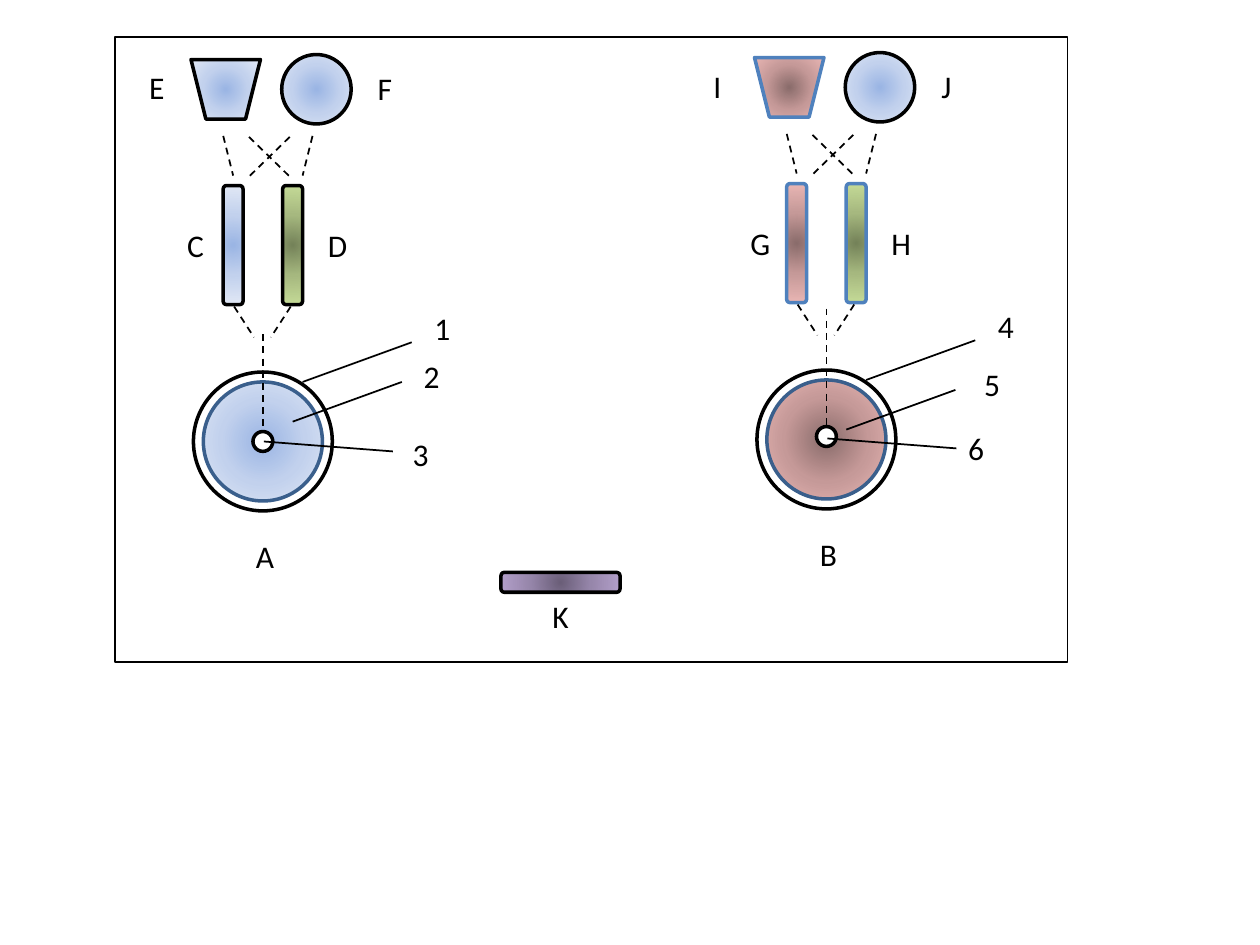
from collections import namedtuple

from lxml.etree import SubElement
from pptx import Presentation
from pptx.dml.color import RGBColor
from pptx.enum.dml import MSO_LINE
from pptx.enum.shapes import MSO_CONNECTOR, MSO_SHAPE
from pptx.enum.text import MSO_AUTO_SIZE, PP_ALIGN
from pptx.oxml import parse_xml
from pptx.oxml.ns import nsdecls, qn
from pptx.util import Inches, Mm, Pt

CELL_MM = 2
BLACK, WHITE, STEEL, NAVY = "000000", "FFFFFF", "4F81BD", "3A5F8C"
BLUE = ("9AB5E4", "C2D1ED", "E1E8F5")
RED = ("8A6C6B", "C59998", "E9B6B4")
GREEN = ("748259", "A6B87F", "C5DB97")
PURPLE = ("6A5E78", "9686AA", "B39FCA")

Origin = namedtuple("Origin", "col row")
Cell = namedtuple("Cell", "origin tint edge stem_top nucleus_row pointers labels")

LEFT = Cell(
    Origin(26.5, 44.5), BLUE, BLACK, -10.8, 0,
    [(3, -2, 14, -6), (4, -6, 15, -10), (0.1, 0, 13.1, 1)],
    {"1": (18.1, -11.4), "2": (17, -6.6), "3": (15.9, 1.3), "A": (0.2, 11.6),
     "C": (-6.8, -19.8), "D": (7.5, -19.8), "E": (-10.7, -35.7), "F": (12.3, -35.6)},
)
RIGHT = Cell(
    Origin(83.3, 44.3), RED, STEEL, -13.2, -0.3,
    [(2, -1, 13, -5), (4, -6, 15, -10), (0.1, -0.1, 13.1, 0.9)],
    {"4": (18.1, -11.4), "5": (16.7, -5.6), "6": (15.1, 0.9), "B": (0.2, 11.6),
     "G": (-6.7, -19.8), "H": (7.5, -19.8), "I": (-11, -35.6), "J": (12.1, -35.6)},
)
DASHES = [
    (-2.9, -13.6, -0.9, -10.5), (2.8, -13.6, 0.8, -10.5),
    (-4, -30.8, -3, -26.8), (5, -30.8, 4, -26.8),
    (-1.4, -30.7, 2.7, -26.7), (2.7, -30.7, -1.4, -26.7),
]


def cells(count):
    return Mm(count * CELL_MM)


def color(value):
    return RGBColor.from_string(value)


def fill_radial(part, tints):
    part.fill.background()
    stops = "".join(
        f'<a:gs pos="{position}"><a:srgbClr val="{tint}"/></a:gs>'
        for position, tint in zip((0, 50000, 100000), tints)
    )
    gradient = parse_xml(
        f'<a:gradFill {nsdecls("a")} rotWithShape="1"><a:gsLst>{stops}</a:gsLst>'
        '<a:path path="circle"><a:fillToRect l="50000" t="50000" r="50000" b="50000"/>'
        "</a:path></a:gradFill>"
    )
    properties = part.element.spPr
    properties.replace(properties.find(qn("a:noFill")), gradient)


def add_part(slide, origin, preset, center, size, fill, edge=BLACK, weight=2, turn=0):
    width, height = size
    part = slide.shapes.add_shape(
        preset,
        cells(origin.col + center[0] - width / 2),
        cells(origin.row + center[1] - height / 2),
        cells(width), cells(height),
    )
    part.shadow.inherit = False
    part.rotation = turn
    part.line.color.rgb = color(edge)
    part.line.width = Pt(weight)
    if fill is None:
        part.fill.background()
    elif isinstance(fill, tuple):
        fill_radial(part, fill)
    else:
        part.fill.solid()
        part.fill.fore_color.rgb = color(fill)


def add_stroke(slide, origin, ends, dashed=False):
    col, row = origin
    x1, y1, x2, y2 = ends
    stroke = slide.shapes.add_connector(
        MSO_CONNECTOR.STRAIGHT,
        cells(col + x1), cells(row + y1), cells(col + x2), cells(row + y2),
    )
    stroke.line.color.rgb = color(BLACK)
    stroke.line.width = Pt(1)
    if dashed:
        stroke.line.dash_style = MSO_LINE.DASH
    SubElement(stroke.element.spPr, qn("a:effectLst"))


def add_label(slide, origin, letter, center):
    width, height = 4.4, 5.1
    label = slide.shapes.add_textbox(
        cells(origin.col + center[0] - width / 2),
        cells(origin.row + center[1] - height / 2),
        cells(width), cells(height),
    )
    frame = label.text_frame
    frame.word_wrap = False
    frame.auto_size = MSO_AUTO_SIZE.SHAPE_TO_FIT_TEXT
    line = frame.paragraphs[0]
    line.text = letter
    line.alignment = PP_ALIGN.CENTER
    line.font.name = "Calibri"
    line.font.size = Pt(18)
    line.font.color.rgb = color(BLACK)


def add_cell(slide, cell):
    origin = cell.origin
    circle, bar = MSO_SHAPE.OVAL, MSO_SHAPE.ROUNDED_RECTANGLE
    nucleus = (0, cell.nucleus_row)
    add_part(slide, origin, circle, (0, 0), (14, 14), WHITE)
    add_part(slide, origin, circle, (0, 0), (12, 12), cell.tint, NAVY)
    add_stroke(slide, origin, (0, cell.stem_top, *nucleus), dashed=True)
    add_part(slide, origin, circle, nucleus, (2, 2), WHITE)
    for ends in cell.pointers:
        add_stroke(slide, origin, ends)
    for col, tint in ((-3, cell.tint), (3, GREEN)):
        add_part(slide, origin, bar, (col, -19.8), (12, 2), tint, cell.edge, turn=270)
    add_part(slide, origin, MSO_SHAPE.TRAPEZOID, (-3.75, -35.5), (7, 6),
             cell.tint, cell.edge, turn=180)
    add_part(slide, origin, circle, (5.4, -35.5), (7, 7), BLUE)
    for ends in DASHES:
        add_stroke(slide, origin, ends, dashed=True)
    for letter, center in cell.labels.items():
        add_label(slide, origin, letter, center)


def main():
    deck = Presentation()
    deck.slide_width, deck.slide_height = Inches(10), Inches(7.5)
    slide = deck.slides.add_slide(deck.slide_layouts[6])
    for cell in (LEFT, RIGHT):
        add_cell(slide, cell)
    corner = Origin(0, 0)
    add_part(slide, corner, MSO_SHAPE.ROUNDED_RECTANGLE, (56.5, 58.7), (12, 2), PURPLE)
    add_label(slide, corner, "K", (56.5, 62.1))
    add_part(slide, corner, MSO_SHAPE.RECTANGLE, (59.6, 35.2), (96, 63), None, weight=1)
    deck.save("out.pptx")


if __name__ == "__main__":
    main()
